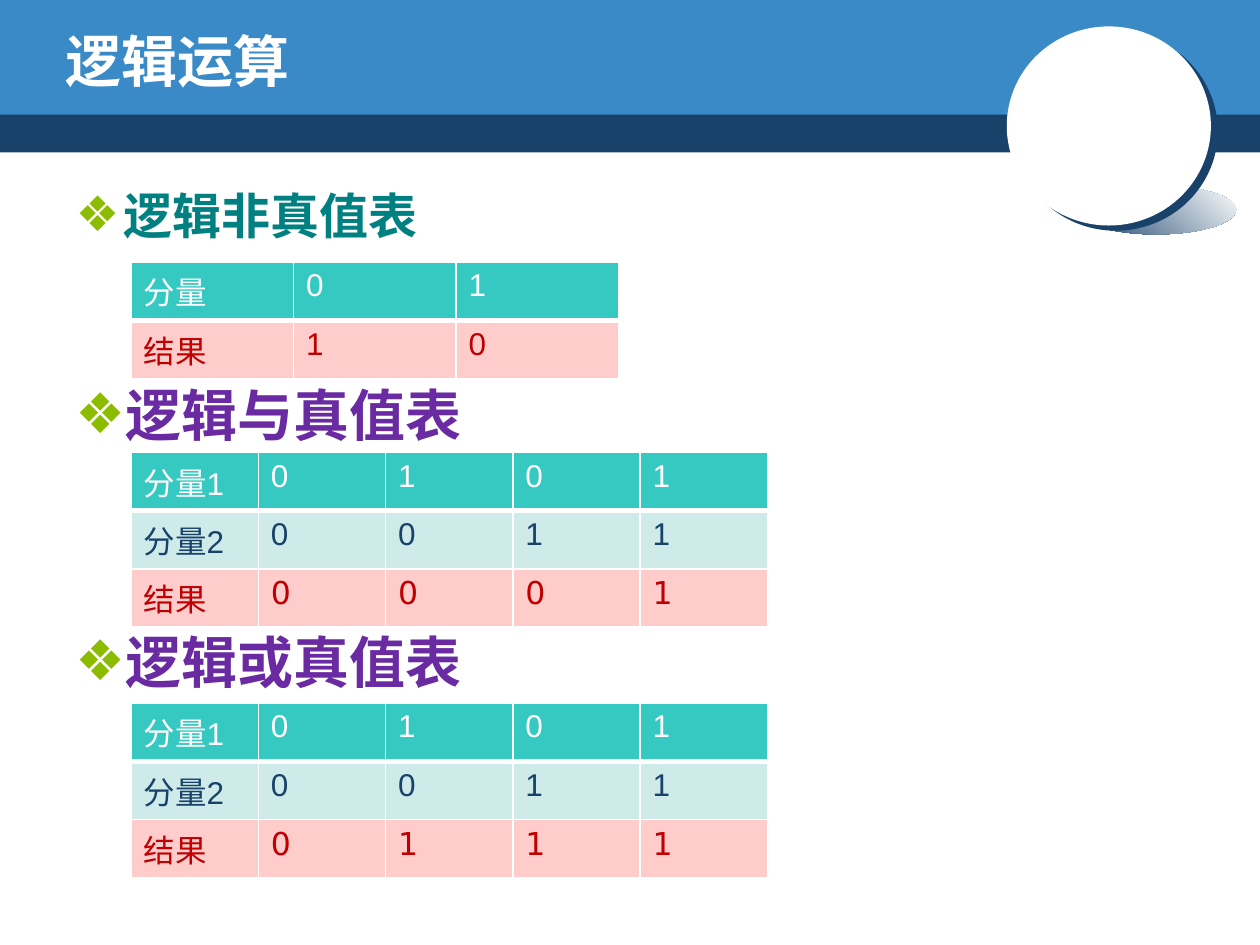
from lxml import etree
from pptx import Presentation
from pptx.dml.color import RGBColor
from pptx.enum.shapes import MSO_SHAPE as SHAPE
from pptx.enum.text import MSO_ANCHOR as ANCHOR, MSO_AUTO_SIZE as AUTO, PP_ALIGN as ALIGN
from pptx.oxml import parse_xml
from pptx.oxml.ns import nsdecls, qn
from pptx.util import Inches, Pt

WHITE = RGBColor(0xFF, 0xFF, 0xFF)
NAVY = RGBColor(0x19, 0x42, 0x6B)
BLUE = RGBColor(0x39, 0x8A, 0xC7)
GREEN = RGBColor(0x8B, 0xBC, 0x00)
TEAL = RGBColor(0x00, 0x80, 0x80)
PURPLE = RGBColor(0x69, 0x2A, 0xA2)
RED = RGBColor(0xC0, 0x00, 0x00)
TURQUOISE = RGBColor(0x35, 0xC9, 0xC2)
PALE_TEAL = RGBColor(0xCE, 0xEB, 0xE9)
PINK = RGBColor(0xFF, 0xCC, 0xCC)

CJK = "Noto Sans CJK SC"
ROW_HEIGHT = 0.41
TABLE_LEFT = 1.04


def place(sp, left, top, width, height):
    sp.left, sp.top = Inches(left), Inches(top)
    sp.width, sp.height = Inches(width), Inches(height)


def format_run(r, size, color, font, bold=False):
    r.font.size, r.font.bold, r.font.name = Pt(size), bold, font
    r.font.color.rgb = color
    ea = etree.SubElement(r.font._element, qn("a:ea"))
    ea.set("typeface", CJK)


def add_filled(shapes, kind, box, color):
    sp = shapes.add_shape(kind, *map(Inches, box))
    sp.shadow.inherit = False
    sp.fill.solid()
    sp.fill.fore_color.rgb = color
    sp.line.fill.background()
    return sp


def add_banner(slide):
    add_filled(slide.shapes, SHAPE.RECTANGLE, (0, 0.87, 10, 0.34), NAVY)
    add_filled(slide.shapes, SHAPE.RECTANGLE, (0, 0, 10, 0.91), BLUE)


def add_ball(slide):
    group = slide.shapes.add_group_shape()
    # Shade on the ground
    shade = add_filled(group.shapes, SHAPE.OVAL, (8.54, 1.47, 1.27, 0.39), NAVY)
    shade.fill.gradient()
    shade.fill.gradient_angle = 45
    for stop, color in zip(shade.fill.gradient_stops, (NAVY, WHITE)):
        stop.color.rgb = color
    # Ball with a hard-edged shadow
    ball = add_filled(group.shapes, SHAPE.OVAL, (7.99, 0.21, 1.62, 1.58), WHITE)
    effects = ball._element.spPr.find(qn("a:effectLst"))
    effects.append(parse_xml(
        f'<a:outerShdw {nsdecls("a")} dist="{Pt(5)}" dir="{37 * 60000}" algn="ctr" '
        f'rotWithShape="0"><a:srgbClr val="{NAVY}"/></a:outerShdw>'))
    add_filled(group.shapes, SHAPE.OVAL, (8.54, 0.68, 0.57, 0.59), WHITE)


def set_title(sp, text):
    place(sp, 0.42, 0.17, 8.08, 0.62)
    tf = sp.text_frame
    tf.text = text
    tf.auto_size = AUTO.NONE
    tf.vertical_anchor = ANCHOR.MIDDLE
    p = tf.paragraphs[0]
    p.alignment = ALIGN.LEFT
    format_run(p.runs[0], 32, WHITE, "Comic Neue", True)


def set_heading(sp, text, size, color, font):
    tf = sp.text_frame
    tf.text = text
    tf.word_wrap = True
    tf.auto_size = AUTO.NONE
    p = tf.paragraphs[0]
    p.space_before = Pt(0)
    pPr = p._p.get_or_add_pPr()
    pPr.set("marL", str(Inches(0.38)))
    pPr.set("indent", str(-Inches(0.38)))
    for xml in (f'<a:buClr {nsdecls("a")}><a:srgbClr val="{GREEN}"/></a:buClr>',
                f'<a:buFont {nsdecls("a")} typeface="DejaVu Sans"/>',
                f'<a:buChar {nsdecls("a")} char="❖"/>'):
        pPr.append(parse_xml(xml))
    format_run(p.runs[0], size, color, font, True)


def set_borders(cell, bottom):
    tcPr = cell._tc.get_or_add_tcPr()
    for side, width in (("L", 1), ("R", 1), ("T", 1), ("B", bottom)):
        tcPr.append(parse_xml(
            f'<a:ln{side} {nsdecls("a")} w="{Pt(width)}"><a:solidFill>'
            f'<a:srgbClr val="{WHITE}"/></a:solidFill></a:ln{side}>'))


def add_truth_table(slide, top, col_width, rows, result_font):
    n_rows, n_cols = len(rows), len(rows[0][1]) + 1
    table = slide.shapes.add_table(
        n_rows, n_cols, Inches(TABLE_LEFT), Inches(top),
        Inches(col_width * n_cols), Inches(ROW_HEIGHT * n_rows)).table
    for i, (label, values) in enumerate(rows):
        if i == 0:
            fill, color, font = TURQUOISE, WHITE, "Arial"
        elif i == n_rows - 1:
            fill, color, font = PINK, RED, result_font
        else:
            fill, color, font = PALE_TEAL, NAVY, "Arial"
        for j, text in enumerate([label, *values]):
            cell = table.cell(i, j)
            cell.text = text
            set_borders(cell, 3 if i == 0 else 1)
            cell.fill.solid()
            cell.fill.fore_color.rgb = fill
            format_run(cell.text_frame.paragraphs[0].runs[0], 18, color, font)


def main():
    prs = Presentation()
    prs.slide_width, prs.slide_height = Inches(10), Inches(7.5)
    slide = prs.slides.add_slide(prs.slide_layouts[1])
    title, body = slide.placeholders

    # Background decoration, with the placeholders raised above it
    add_banner(slide)
    add_ball(slide)
    for sp in (title, body):
        sp.element.getparent().append(sp.element)

    # Title and headings
    set_title(title, "逻辑运算")
    place(body, 0.5, 1.42, 4.19, 0.61)
    set_heading(body, "逻辑非真值表", 28, TEAL, "Comic Neue")
    for text, top, width in (("逻辑与真值表", 2.97, 3.33), ("逻辑或真值表", 4.93, 4.58)):
        box = slide.shapes.add_textbox(*map(Inches, (0.5, top, width, 0.61)))
        set_heading(box, text, 32, PURPLE, CJK)

    # Truth tables
    add_truth_table(slide, 2.08, 1.29, [("分量", "01"), ("结果", "10")], "Arial")
    for top, result in ((3.59, "0001"), (5.58, "0111")):
        rows = [("分量1", "0101"), ("分量2", "0011"), ("结果", result)]
        add_truth_table(slide, top, 1.01, rows, "DejaVu Sans")

    prs.save("out.pptx")


if __name__ == "__main__":
    main()
